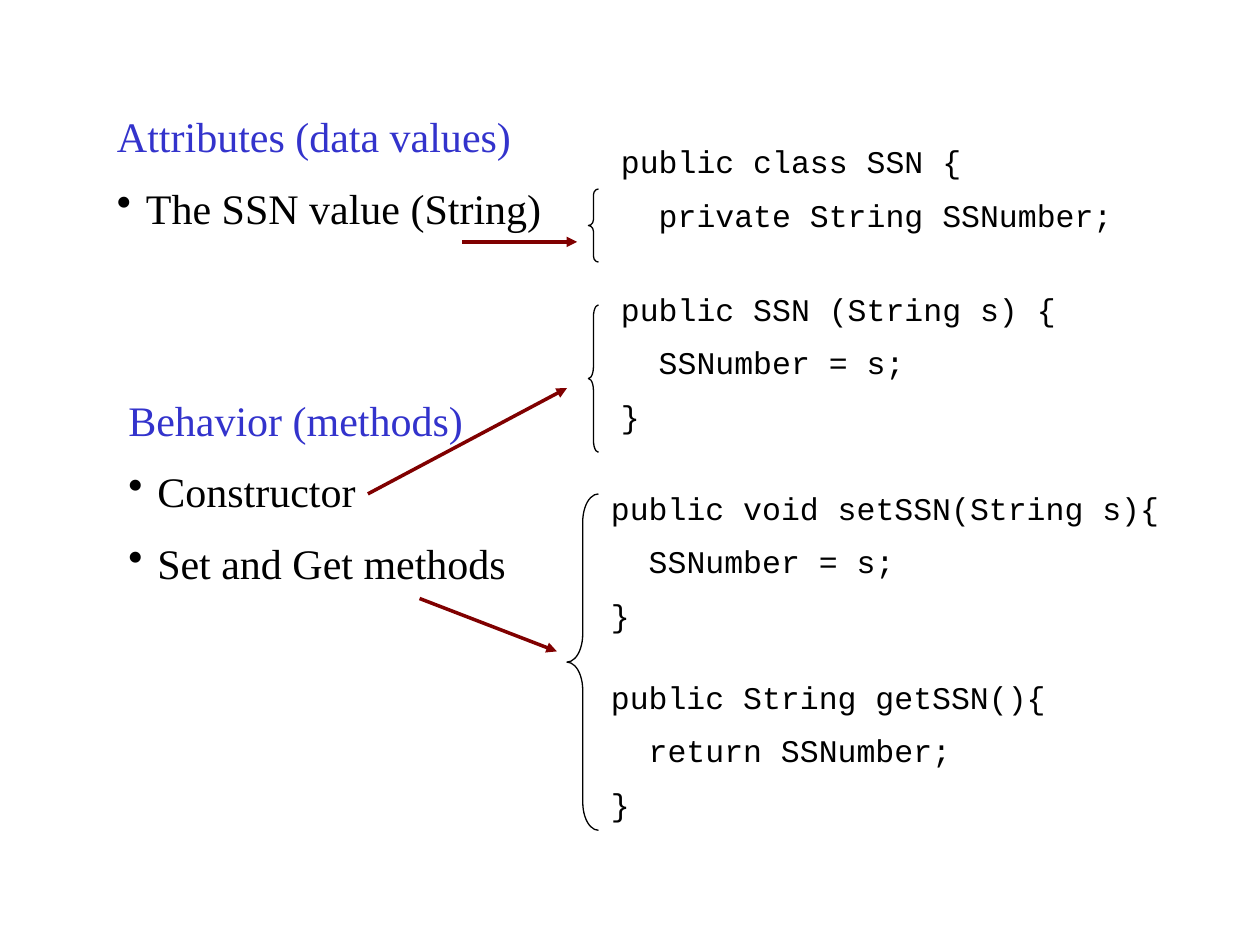
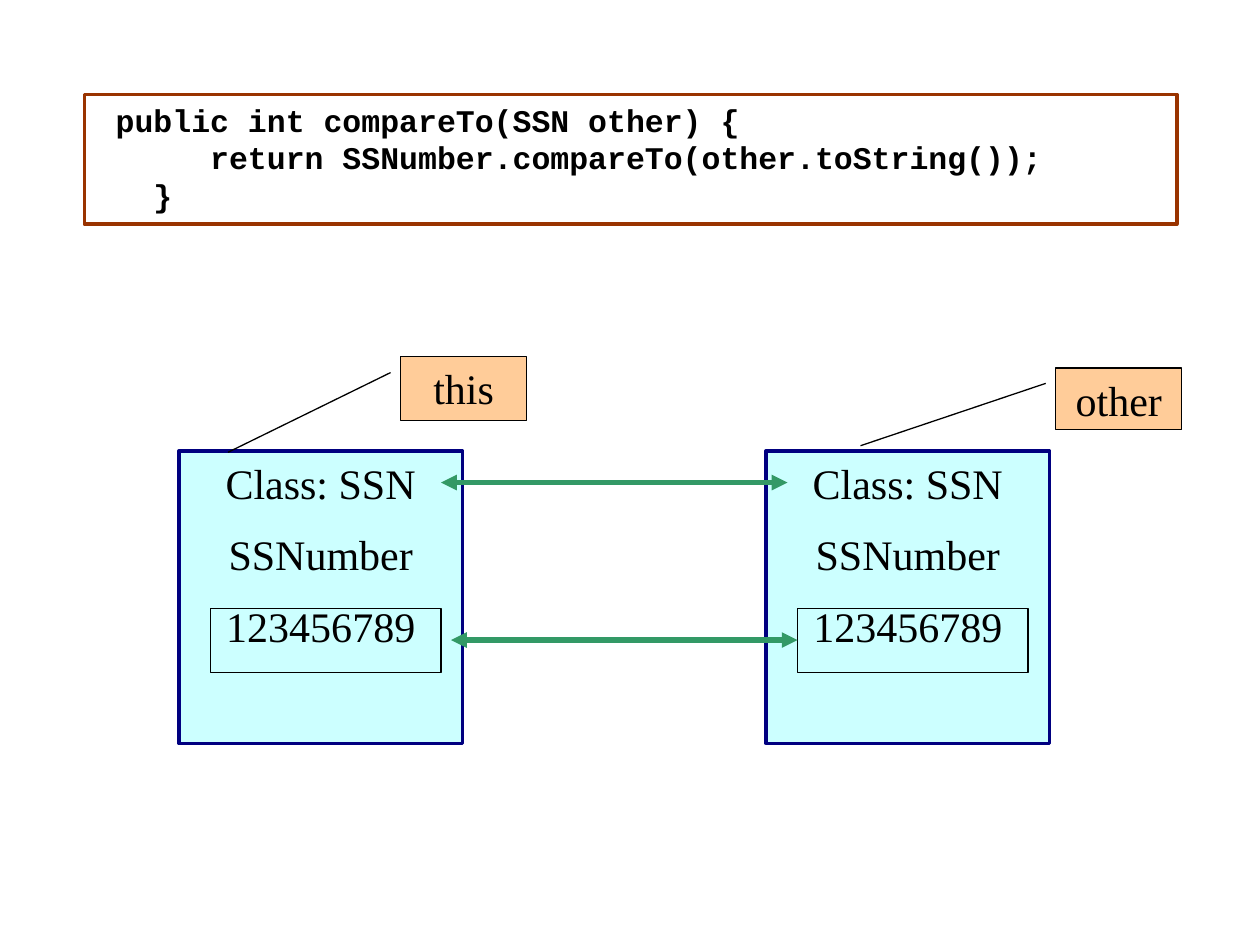
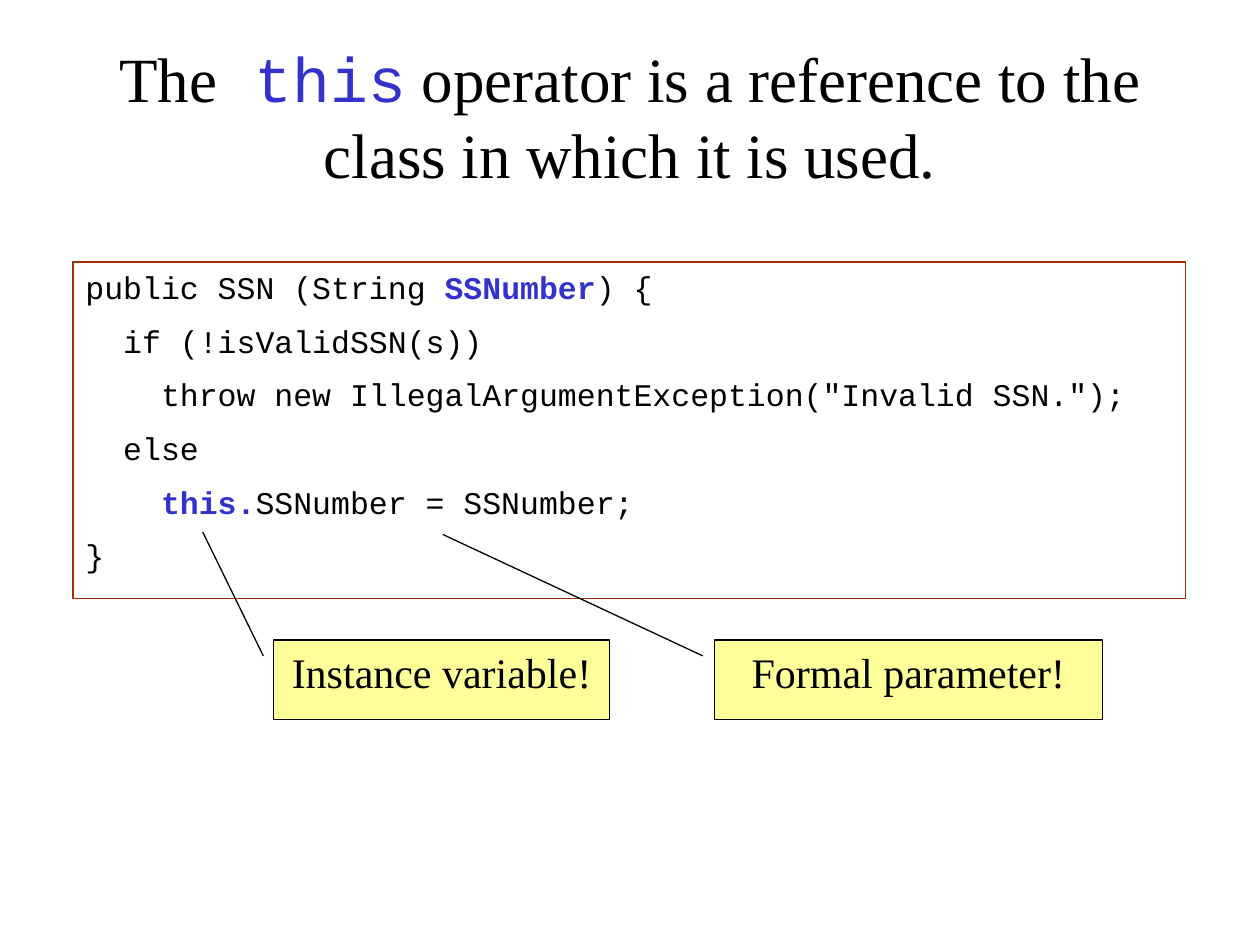
from lxml.etree import SubElement
from pptx import Presentation
from pptx.dml.color import RGBColor
from pptx.enum.shapes import MSO_CONNECTOR as CONNECTOR, MSO_SHAPE as SHAPE
from pptx.enum.text import MSO_ANCHOR as ANCHOR, MSO_AUTO_SIZE as AUTO_SIZE, PP_ALIGN as ALIGN
from pptx.oxml.ns import qn
from pptx.util import Inches, Pt

COLORS = {
    "text": "000000", "accent": "3333CC", "pointer": "800000",
    "code_frame": "993300", "card": "CCFFFF", "card_frame": "000080",
    "compare": "339966", "name_tag": "FFCC99", "remark": "FFFF99",
}
SERIF, MONO = "Times New Roman", "Courier New"
THIN, THICK = 0.75, 2
BULLET_INDENT = Inches(0.23)


def rgb(key):
    """Return the palette colour called key."""
    return RGBColor.from_string(COLORS[key])


def add_run(paragraph, text, font, size, color="text", bold=False):
    """Append one formatted run."""
    run = paragraph.add_run()
    run.text = text
    run.font.name, run.font.size, run.font.bold = font, Pt(size), bold
    run.font.color.rgb = rgb(color)


def space_half_line(paragraph):
    """Put half a line of space before the paragraph."""
    before = SubElement(paragraph._p.get_or_add_pPr(), qn("a:spcBef"))
    SubElement(before, qn("a:spcPct")).set("val", "50000")


def add_bullet(paragraph):
    """Give the paragraph a hanging round bullet."""
    props = paragraph._p.get_or_add_pPr()
    props.set("marL", str(BULLET_INDENT))
    props.set("indent", str(-BULLET_INDENT))
    SubElement(props, qn("a:buChar")).set("char", "•")


def write_lines(shape, lines, font, size, align=ALIGN.LEFT, spaced=True):
    """Fill a shape with lines, each a list of (text, colour, bold) runs."""
    frame = shape.text_frame
    frame.word_wrap, frame.auto_size = True, AUTO_SIZE.NONE
    frame.vertical_anchor = ANCHOR.TOP
    for index, runs in enumerate(lines):
        paragraph = frame.add_paragraph() if index else frame.paragraphs[0]
        paragraph.alignment = align
        if spaced:
            space_half_line(paragraph)
        for text, color, bold in runs:
            add_run(paragraph, text, font, size, color, bold)
    return frame.paragraphs


def plain(*texts, bold=False):
    """Turn texts into lines of one black run each."""
    return [[(text, "text", bold)] for text in texts]


def add_outline(slide, kind, box, line="text", width=THIN, fill=None, adjust=()):
    """Draw a preset shape in box, unfilled unless a fill is named."""
    shape = slide.shapes.add_shape(kind, *map(Inches, box))
    shape.shadow.inherit = False
    if fill:
        shape.fill.solid()
        shape.fill.fore_color.rgb = rgb(fill)
    else:
        shape.fill.background()
    shape.line.color.rgb, shape.line.width = rgb(line), Pt(width)
    for index, value in enumerate(adjust):
        shape.adjustments[index] = value
    return shape


def add_arrow(slide, start, end, color, width, both=False):
    """Draw an arrow from start to end, with one head or two."""
    arrow = slide.shapes.add_connector(CONNECTOR.STRAIGHT, *map(Inches, (*start, *end)))
    arrow.line.color.rgb, arrow.line.width = rgb(color), Pt(width)
    line = arrow.line._get_or_add_ln()
    for head in ("a:headEnd", "a:tailEnd") if both else ("a:tailEnd",):
        SubElement(line, qn(head)).set("type", "triangle")
    SubElement(arrow._element.spPr, qn("a:effectLst"))


def add_topic(slide, box, heading, items):
    """Write a coloured heading over bulleted items."""
    area = slide.shapes.add_textbox(*map(Inches, box))
    lines = [[(heading, "accent", False)], *plain(*items)]
    for paragraph in write_lines(area, lines, SERIF, 24)[1:]:
        add_bullet(paragraph)


def add_code(slide, box, *texts):
    """Write unframed lines of code."""
    area = slide.shapes.add_textbox(*map(Inches, box))
    write_lines(area, plain(*texts), MONO, 18)


def add_callout(slide, box, text, fill, adjust):
    """Draw a filled label with a leader line."""
    label = add_outline(slide, SHAPE.LINE_CALLOUT_1, box, fill=fill, adjust=adjust)
    write_lines(label, plain(text), SERIF, 24, ALIGN.CENTER, spaced=False)


def add_class_card(slide, left, top):
    """Draw an SSN object with a frame around its value."""
    card = add_outline(slide, SHAPE.RECTANGLE, (left, top, 2.25, 2.32),
                       "card_frame", THICK, "card")
    write_lines(card, plain("Class: SSN", "SSNumber", "123456789"),
                SERIF, 24, ALIGN.CENTER)
    add_outline(slide, SHAPE.RECTANGLE, (left + 0.25, top + 1.25, 1.83, 0.51))


def build_class_parts(slide):
    """Link attributes and behavior to the code that defines them."""
    add_topic(slide, (0.83, 0.83, 7.75, 1.1), "Attributes (data values)",
              ["The SSN value (String)"])
    add_topic(slide, (0.92, 3.08, 6.08, 1.7), "Behavior (methods)",
              ["Constructor", "Set and Get methods"])
    add_code(slide, (4.83, 1.08, 4.33, 1.3),
             "public class SSN {", "  private String SSNumber;")
    add_code(slide, (4.83, 2.25, 4.5, 1.3),
             "public SSN (String s) {", "  SSNumber = s;", "}")
    add_code(slide, (4.75, 3.83, 4.75, 1.3),
             "public void setSSN(String s){", "  SSNumber = s;", "}")
    add_code(slide, (4.75, 5.33, 4.17, 1.3),
             "public String getSSN(){", "  return SSNumber;", "}")
    for box, curve in (((4.67, 1.5, 0.08, 0.58), 0.58),
                       ((4.67, 2.42, 0.08, 1.17), 1.17),
                       ((4.5, 3.92, 0.25, 2.67), 0.89)):
        add_outline(slide, SHAPE.LEFT_BRACE, box, adjust=(curve, 0.5))
    for start, end in (((3.67, 1.92), (4.58, 1.92)),
                       ((2.92, 3.92), (4.5, 3.08)),
                       ((3.33, 4.75), (4.42, 5.17))):
        add_arrow(slide, start, end, "pointer", THICK)


def build_comparison(slide):
    """Show compareTo and the two objects that it compares."""
    for left in (1.42, 6.08):
        add_class_card(slide, left, 3.58)
    code = add_outline(slide, SHAPE.RECTANGLE, (0.67, 0.75, 8.67, 1.03),
                       "code_frame", THICK)
    signature = [(" ", "text", False), ("public int compareTo(SSN other) {", "text", True)]
    body = plain("      return SSNumber.compareTo(other.toString());", "   }", bold=True)
    write_lines(code, [signature, *body], MONO, 18, spaced=False)
    for left, y in ((3.5, 3.83), (3.58, 5.08)):
        add_arrow(slide, (left, y), (left + 2.75, y), "compare", 3, both=True)
    add_callout(slide, (8.38, 2.92, 1, 0.49), "other", "name_tag",
                (0.25, -0.08, 1.26, -1.55))
    add_callout(slide, (3.18, 2.83, 1, 0.51), "this", "name_tag",
                (0.25, -0.08, 1.49, -1.37))


def build_this_operator(slide):
    """Explain the this operator with a constructor."""
    title = slide.shapes.title
    title.left, title.top, title.width, title.height = map(Inches, (0.75, 0.5, 8.5, 0.83))
    frame = title.text_frame
    frame.word_wrap, frame.auto_size = True, AUTO_SIZE.NONE
    frame.vertical_anchor = ANCHOR.MIDDLE
    heading = frame.paragraphs[0]
    heading.alignment = ALIGN.CENTER
    add_run(heading, "The", SERIF, 36)
    add_run(heading, " this", MONO, 36, "accent")
    add_run(heading, " operator is a reference to the class in which it is used.", SERIF, 36)

    code = add_outline(slide, SHAPE.RECTANGLE, (0.58, 2.08, 8.83, 2.67), "code_frame")
    write_lines(code, [
        [("public SSN (String ", "text", False), ("SSNumber", "accent", True),
         (") {", "text", False)],
        *plain("  if (!isValidSSN(s))",
               '    throw new IllegalArgumentException("Invalid SSN.");',
               "  else"),
        [("    ", "text", False), ("this.", "accent", True),
         ("SSNumber = SSNumber;", "text", False)],
        *plain("}"),
    ], MONO, 18)
    add_callout(slide, (5.67, 5.08, 3.08, 0.63), "Formal parameter!", "remark",
                (0.2, -0.03, -1.33, -0.7))
    add_callout(slide, (2.17, 5.08, 2.67, 0.63), "Instance variable!", "remark",
                (0.2, -0.03, -1.36, -0.21))


deck = Presentation()
deck.slide_width, deck.slide_height = Inches(10), Inches(7.5)
TITLE_ONLY, BLANK = deck.slide_layouts[5], deck.slide_layouts[6]
for layout, build in ((BLANK, build_class_parts), (BLANK, build_comparison),
                      (TITLE_ONLY, build_this_operator)):
    build(deck.slides.add_slide(layout))
deck.save("out.pptx")
